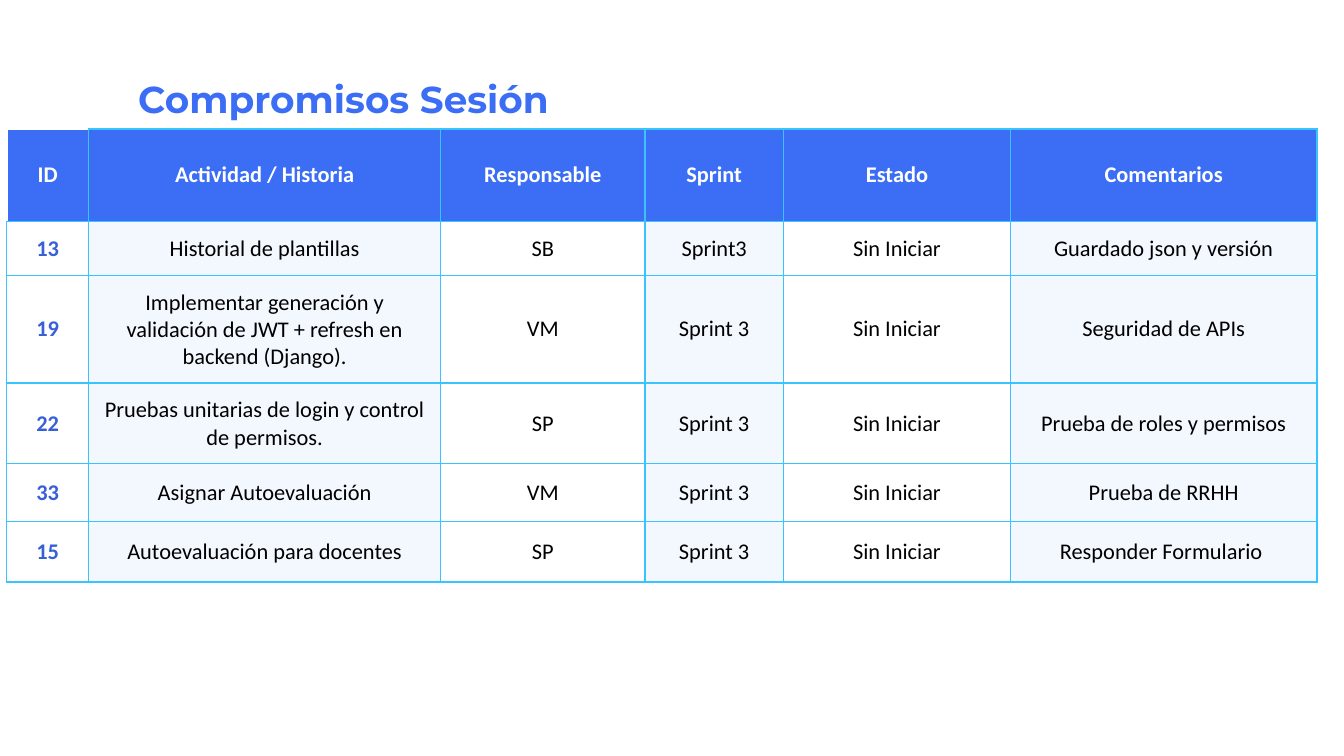
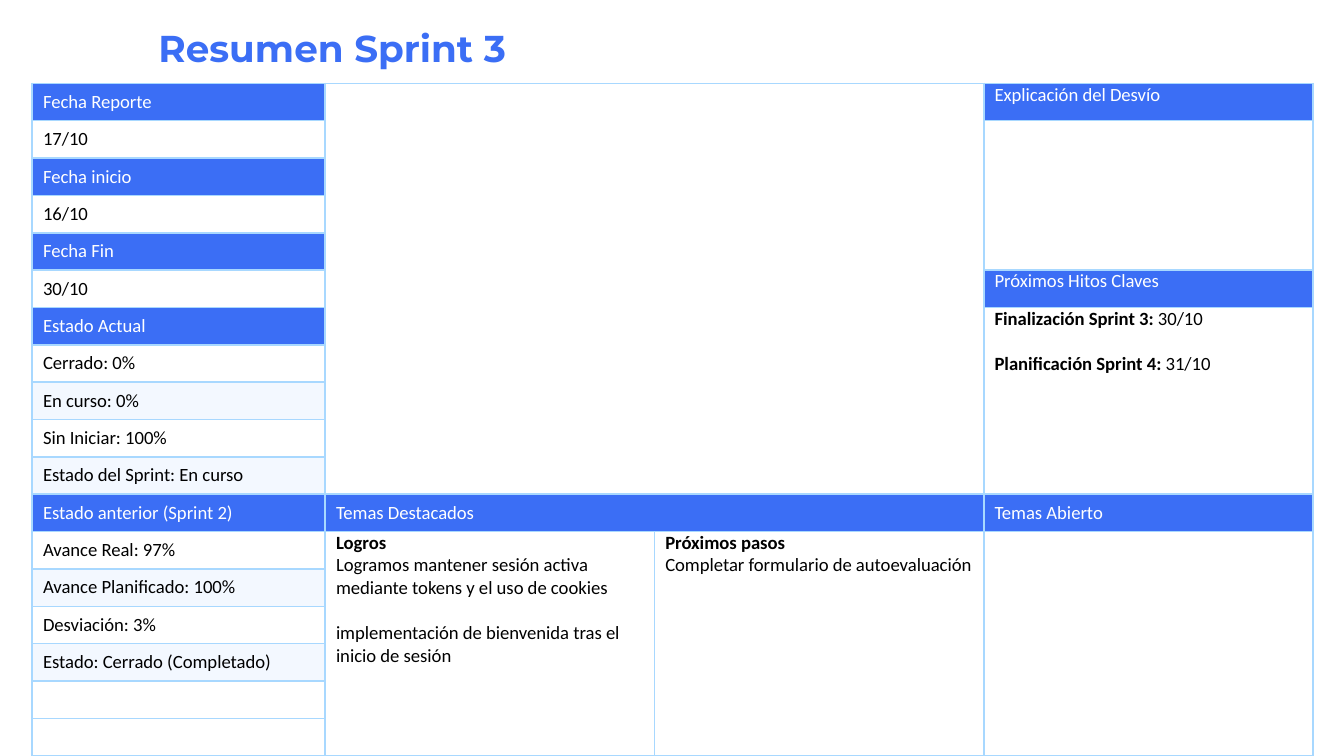
import dataclasses
import pptx
import pptx.util
import pptx.dml.color
import pptx.enum.text
import pptx.oxml.ns
import lxml.etree

ANCHOR = pptx.enum.text.MSO_ANCHOR
ALIGN = pptx.enum.text.PP_ALIGN


@dataclasses.dataclass(frozen=True)
class Theme:
    blue: str = "3B6EF5"
    code: str = "375FD8"
    tint: str = "F3F8FF"
    white: str = "FFFFFF"
    black: str = "000000"
    cyan: str = "39C4FF"
    sky: str = "A8D8FF"
    head: str = "Montserrat"
    body: str = "Calibri"
    title: int = 20
    large: int = 12
    small: int = 10
    gap: int = 12


@dataclasses.dataclass(frozen=True)
class Look:
    size: int
    line: str
    width: float
    pad: tuple
    align: object


T = Theme()
WIDE, HIGH = 100, 56.25
TASK = Look(T.large, T.cyan, 0.75, (1, 1), ALIGN.CENTER)
BRIEF = Look(T.small, T.sky, 1, (0.8, 0), ALIGN.LEFT)


def unit(n):
    return pptx.util.Inches(10 * n / WIDE)


def tone(code):
    return pptx.dml.color.RGBColor.from_string(code)


def write(par, text, face, size, color, bold=False):
    run = par.add_run()
    run.text = text
    run.font.name = face
    run.font.size = pptx.util.Pt(size)
    run.font.bold = bold
    run.font.color.rgb = tone(color)


def title(slide, text, left, top, width, height):
    frame = slide.shapes.add_textbox(*map(unit, (left, top, width, height))).text_frame
    frame.word_wrap = True
    frame.vertical_anchor = ANCHOR.BOTTOM
    frame.margin_left = frame.margin_right = unit(1)
    frame.margin_top = frame.margin_bottom = unit(1)
    write(frame.paragraphs[0], text, T.head, T.title, T.blue, True)


def child(node, tag, **attrs):
    return lxml.etree.SubElement(node, pptx.oxml.ns.qn(tag), **attrs)


def edge(cell, look, sides):
    props = cell._tc.get_or_add_tcPr()
    for side in sides:
        width = str(pptx.util.Pt(look.width))
        line = child(props, "a:ln" + side, w=width)
        child(child(line, "a:solidFill"), "a:srgbClr", val=look.line)


def grid(slide, look, left, top, cols, rows):
    frame = slide.shapes.add_table(
        len(rows), len(cols), *map(unit, (left, top, sum(cols), sum(rows)))
    )
    table = frame.table
    table.first_row = table.horz_banding = False
    for col, width in zip(table.columns, cols):
        col.width = unit(width)
    for row, height in zip(table.rows, rows):
        row.height = unit(height)
    for cell in table.iter_cells():
        cell.margin_left = cell.margin_right = unit(look.pad[0])
        cell.margin_top = cell.margin_bottom = unit(look.pad[1])
    return table


def dress(table, look, bare=()):
    for r, row in enumerate(table.rows):
        for c, cell in enumerate(row.cells):
            edge(cell, look, "RB" if (r, c) in bare else "LRTB")
            cell.fill.background()
            for par in cell.text_frame.paragraphs:
                child(par._p, "a:endParaRPr", sz=str(look.size * 100))


def fill(cell, code):
    cell.fill.solid()
    cell.fill.fore_color.rgb = tone(code)


def put(cell, look, pars, color=T.black, back=None, anchor=ANCHOR.MIDDLE):
    cell.vertical_anchor = anchor
    if back:
        fill(cell, back)
    frame = cell.text_frame
    for i, (gap, *runs) in enumerate(pars):
        par = frame.add_paragraph() if i else frame.paragraphs[0]
        par.alignment = look.align
        if gap:
            par.space_after = pptx.util.Pt(gap)
        for text, bold in runs:
            write(par, text, T.body, look.size, color, bold)


def label(cell, look, text, color=T.black, back=None, bold=False, anchor=ANCHOR.MIDDLE):
    put(cell, look, [(0, (text, bold))], color, back, anchor)


def tasks(slide):
    title(slide, "Compromisos Sesión", 9.3, 6.2, 45.9, 3.8)
    heads = ("ID", "Actividad / Historia", "Responsable", "Sprint", "Estado", "Comentarios")
    data = (
        ("13", "Historial de plantillas", "SB", "Sprint3", "Guardado json y versión"),
        ("19", "Implementar generación y validación de JWT + refresh en backend (Django).",
         "VM", "Sprint 3", "Seguridad de APIs"),
        ("22", "Pruebas unitarias de login y control de permisos.",
         "SP", "Sprint 3", "Prueba de roles y permisos"),
        ("33", "Asignar Autoevaluación", "VM", "Sprint 3", "Prueba de RRHH"),
        ("15", "Autoevaluación para docentes", "SP", "Sprint 3", "Responder Formulario "),
    )
    cols = (6.1, 26.2, 15.2, 10.3, 16.9, 22.8)
    table = grid(slide, TASK, 0.5, 9.6, cols, (6.9, 2.5, 2.1, 5.8, 4.3, 4.5))
    dress(table, TASK, {(0, 0)})
    for c, text in enumerate(heads):
        label(table.cell(0, c), TASK, text, T.white, T.blue, True)
    for r, row in enumerate(data, 1):
        for c, text in enumerate((*row[:4], "Sin Iniciar", row[4])):
            label(table.cell(r, c), TASK, text, T.black if c else T.code,
                  T.tint if c % 2 else None, c == 0)


def brief(slide):
    title(slide, "Resumen Sprint 3", 10.8, 0.9, 35.7, 5.3)
    top, count = 6.2, 18
    cols = (21.8, 24.5, 24.5, 24.5)
    table = grid(slide, BRIEF, 2.4, top, cols, [(HIGH - top) / count] * count)
    dress(table, BRIEF)
    for r, c, down, over in (
        (0, 1, 11, 2), (1, 3, 4, 1), (6, 3, 5, 1), (11, 1, 1, 2),
        (12, 1, 6, 1), (12, 2, 6, 1), (12, 3, 6, 1),
    ):
        table.cell(r, c).merge(table.cell(r + down - 1, c + over - 1))
    groups = (
        ("Fecha Reporte", "17/10"),
        ("Fecha inicio", "16/10"),
        ("Fecha Fin", "30/10"),
        ("Estado Actual", "Cerrado: 0%", "En curso: 0%", "Sin Iniciar: 100%",
         "Estado del Sprint: En curso"),
        ("Estado anterior (Sprint 2)", "Avance Real: 97%", "Avance Planificado: 100%",
         "Desviación: 3%", "Estado: Cerrado (Completado)"),
    )
    r = 0
    for head, *items in groups:
        label(table.cell(r, 0), BRIEF, head, T.white, T.blue)
        for i, text in enumerate(items):
            label(table.cell(r + 1 + i, 0), BRIEF, text, back=T.tint if i % 2 else None)
        r += 1 + len(items)
    for r, c, text, anchor in (
        (0, 3, "Explicación del Desvío", ANCHOR.TOP),
        (5, 3, "Próximos Hitos Claves", ANCHOR.TOP),
        (11, 1, "Temas Destacados", ANCHOR.MIDDLE),
        (11, 3, "Temas Abierto", ANCHOR.MIDDLE),
    ):
        label(table.cell(r, c), BRIEF, text, T.white, T.blue, anchor=anchor)
    notes = {
        (6, 3): [
            (T.gap, ("Finalización Sprint 3: ", True), ("30/10", False)),
            (0, ("Planificación Sprint 4: ", True), ("31/10", False)),
        ],
        (12, 1): [
            (0, ("Logros", True)),
            (T.gap, ("Logramos mantener sesión activa mediante tokens y el uso de cookies", False)),
            (0, ("implementación de bienvenida tras el inicio de sesión", False)),
        ],
        (12, 2): [
            (0, ("Próximos pasos", True)),
            (0, ("Completar formulario de autoevaluación", False)),
        ],
    }
    for spot, pars in notes.items():
        put(table.cell(*spot), BRIEF, pars, anchor=ANCHOR.TOP)


def main():
    deck = pptx.Presentation()
    deck.slide_width, deck.slide_height = unit(WIDE), unit(HIGH)
    for draw in (tasks, brief):
        draw(deck.slides.add_slide(deck.slide_layouts[6]))
    deck.save("out.pptx")


if __name__ == "__main__":
    main()
